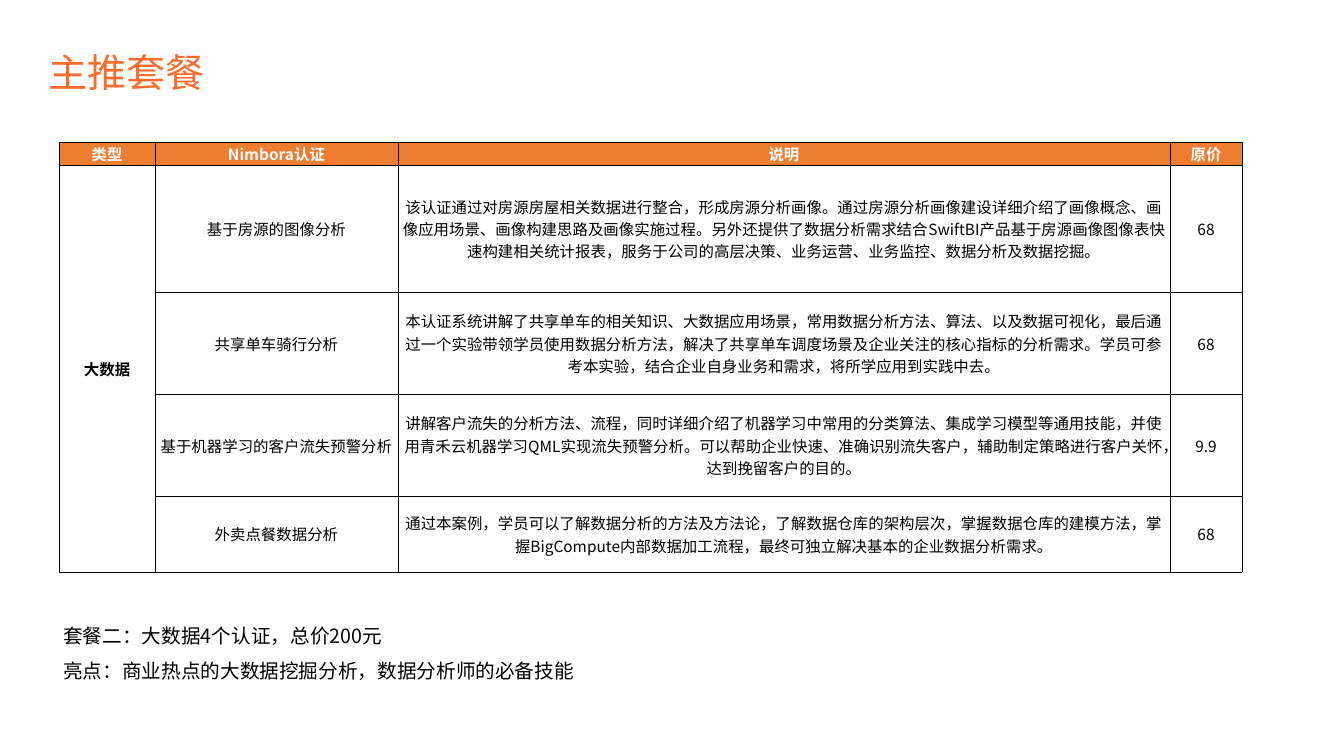
from lxml import etree
from pptx import Presentation
from pptx.dml.color import RGBColor
from pptx.enum.text import MSO_ANCHOR, PP_ALIGN
from pptx.oxml.ns import qn
from pptx.util import Pt

CENTER = PP_ALIGN.CENTER
MIDDLE = MSO_ANCHOR.MIDDLE
FONT = "Noto Sans CJK SC"
COLORS = {"title": "FC6C2C", "header": "ED7D31", "white": "FFFFFF", "black": "000000"}


def add_run(p, text, size, color, bold=False):
    r = p.add_run()
    r.text = text
    r.font.size = Pt(size)
    r.font.bold = bold
    r.font.name = FONT
    r.font.color.rgb = RGBColor.from_string(COLORS[color])
    etree.SubElement(r.font._element, qn("a:ea")).set("typeface", FONT)


def add_borders(cell):
    tcPr = cell._tc.get_or_add_tcPr()
    for i, side in enumerate(("lnL", "lnR", "lnT", "lnB")):
        ln = etree.Element(qn("a:" + side), w=str(Pt(0.5)))
        fill = etree.SubElement(ln, qn("a:solidFill"))
        etree.SubElement(fill, qn("a:srgbClr"), val=COLORS["black"])
        tcPr.insert(i, ln)


prs = Presentation()
prs.slide_width, prs.slide_height = Pt(960), Pt(540)
s = prs.slides.add_slide(prs.slide_layouts[6])

# Title and package summary: left, top, width, height, size, colour, line spacing, lines
text_boxes = [
    (27.4, 31, 366.5, 41, 28, "title", None, ["主推套餐"]),
    (38.2, 433.4, 873.4, 58, 14, "black", Pt(25.2),
     ["套餐二：大数据4个认证，总价200元",
      "亮点：商业热点的大数据挖掘分析，数据分析师的必备技能"]),
]
for left, top, width, height, size, color, spacing, lines in text_boxes:
    tf = s.shapes.add_textbox(Pt(left), Pt(top), Pt(width), Pt(height)).text_frame
    tf.word_wrap = True
    for i, line in enumerate(lines):
        p = tf.add_paragraph() if i else tf.paragraphs[0]
        p.line_spacing = spacing
        add_run(p, line, size, color)

# Certification table
rows = [
    ("类型", "Nimbora认证", "说明", "原价"),
    ("大数据", "基于房源的图像分析",
     "该认证通过对房源房屋相关数据进行整合，形成房源分析画像。通过房源分析画像建设详细介绍了画像概念、"
     "画像应用场景、画像构建思路及画像实施过程。另外还提供了数据分析需求结合SwiftBI产品基于房源画像图像表"
     "快速构建相关统计报表，服务于公司的高层决策、业务运营、业务监控、数据分析及数据挖掘。", "68"),
    ("", "共享单车骑行分析",
     "本认证系统讲解了共享单车的相关知识、大数据应用场景，常用数据分析方法、算法、以及数据可视化，"
     "最后通过一个实验带领学员使用数据分析方法，解决了共享单车调度场景及企业关注的核心指标的分析需求。"
     "学员可参考本实验，结合企业自身业务和需求，将所学应用到实践中去。", "68"),
    ("", "基于机器学习的客户流失预警分析",
     "讲解客户流失的分析方法、流程，同时详细介绍了机器学习中常用的分类算法、集成学习模型等通用技能，"
     "并使用青禾云机器学习QML实现流失预警分析。可以帮助企业快速、准确识别流失客户，"
     "辅助制定策略进行客户关怀，达到挽留客户的目的。", "9.9"),
    ("", "外卖点餐数据分析",
     "通过本案例，学员可以了解数据分析的方法及方法论，了解数据仓库的架构层次，掌握数据仓库的建模方法，"
     "掌握BigCompute内部数据加工流程，最终可独立解决基本的企业数据分析需求。", "68"),
]
col_widths = [68.5, 173.5, 551.5, 51.5]
row_heights = [16.5, 90.8, 72.8, 72.8, 54.2]
table = s.shapes.add_table(len(rows), len(col_widths), Pt(42.3), Pt(101.5),
                           Pt(sum(col_widths)), Pt(sum(row_heights))).table
for col, width in zip(table.columns, col_widths):
    col.width = Pt(width)
for row, height in zip(table.rows, row_heights):
    row.height = Pt(height)
table.cell(1, 0).merge(table.cell(4, 0))

for i, row in enumerate(rows):
    for j, text in enumerate(row):
        cell = table.cell(i, j)
        cell.margin_left = cell.margin_right = cell.margin_top = cell.margin_bottom = 0
        cell.vertical_anchor = MIDDLE
        if i == 0:
            cell.fill.solid()
            cell.fill.fore_color.rgb = RGBColor.from_string(COLORS["header"])
        else:
            cell.fill.background()
        add_borders(cell)
        if text:
            p = cell.text_frame.paragraphs[0]
            p.alignment = CENTER
            add_run(p, text, 11, "black" if i else "white", bold=i == 0 or j == 0)

prs.save("out.pptx")
